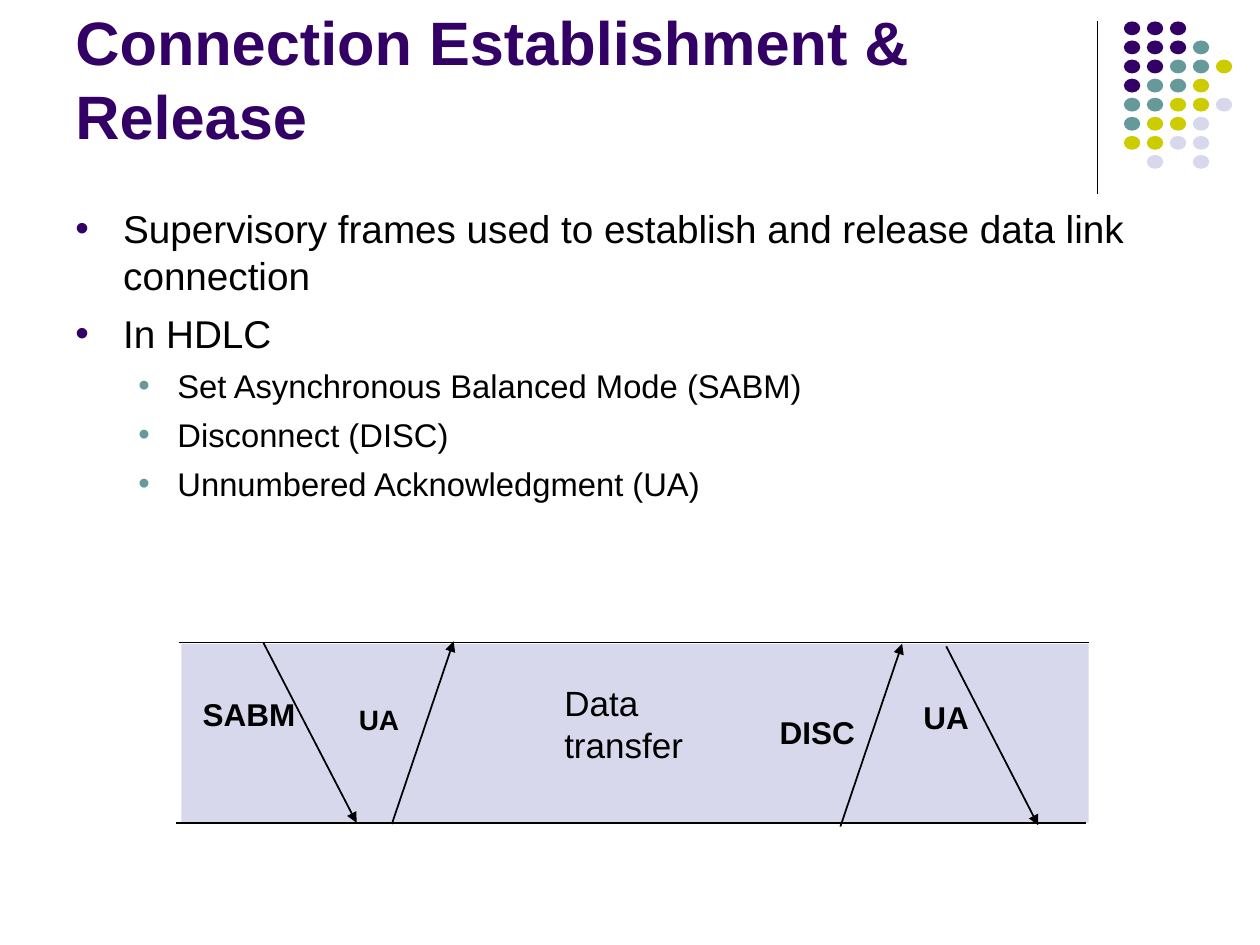
from lxml import etree
from pptx import Presentation
from pptx.dml.color import RGBColor
from pptx.enum.shapes import MSO_CONNECTOR, MSO_SHAPE
from pptx.enum.text import MSO_ANCHOR, MSO_AUTO_SIZE
from pptx.oxml.ns import qn
from pptx.util import Inches, Pt

STRAIGHT = MSO_CONNECTOR.STRAIGHT
OVAL = MSO_SHAPE.OVAL
RECTANGLE = MSO_SHAPE.RECTANGLE
BOTTOM = MSO_ANCHOR.BOTTOM
FIXED_SIZE = MSO_AUTO_SIZE.NONE

BLACK = RGBColor(0x00, 0x00, 0x00)
PURPLE = RGBColor(0x33, 0x00, 0x66)
TEAL = RGBColor(0x66, 0x99, 0x99)
OLIVE = RGBColor(0xCC, 0xCC, 0x00)
LAVENDER = RGBColor(0xD8, 0xD8, 0xEC)

presentation = Presentation()
presentation.slide_width = Inches(10)
presentation.slide_height = Inches(7.5)
slide = presentation.slides.add_slide(presentation.slide_layouts[6])


def add_line(x1, y1, x2, y2, width=1, arrow=False):
    line = slide.shapes.add_connector(
        STRAIGHT, Inches(x1), Inches(y1), Inches(x2), Inches(y2))
    line.line.color.rgb = BLACK
    line.line.width = Pt(width)
    if arrow:
        etree.SubElement(line.line._get_or_add_ln(), qn("a:tailEnd"), type="triangle")
    etree.SubElement(line._element.spPr, qn("a:effectLst"))


def style_paragraph(paragraph, text, size, color=BLACK, bold=False):
    paragraph.text = text
    paragraph.font.name = "Arial"
    paragraph.font.size = Pt(size)
    paragraph.font.bold = bold
    paragraph.font.color.rgb = color


# Corner decoration: one letter per dot, a space for a gap
add_line(8.71, 0.17, 8.71, 1.54, width=0.75)
DOT_COLORS = {"P": PURPLE, "T": TEAL, "O": OLIVE, "L": LAVENDER}
DOT_ROWS = ["PPP", "PPPT", "PPTTO", "PTTO", "TTOOL", "TOOL", "OOLL", " L L"]
COLUMN_STEP = 0.73 / 4
ROW_STEP = 1.06 / 7
for row, letters in enumerate(DOT_ROWS):
    for column, letter in enumerate(letters):
        if letter == " ":
            continue
        dot = slide.shapes.add_shape(
            OVAL, Inches(8.92 + column * COLUMN_STEP), Inches(0.17 + row * ROW_STEP),
            Inches(0.13), Inches(0.11))
        dot.shadow.inherit = False
        dot.fill.solid()
        dot.fill.fore_color.rgb = DOT_COLORS[letter]
        dot.line.fill.background()

# Title
title = slide.shapes.add_textbox(Inches(0.5), Inches(0.13), Inches(8.25), Inches(1.12))
title.text_frame.word_wrap = True
title.text_frame.vertical_anchor = BOTTOM
style_paragraph(title.text_frame.paragraphs[0], "Connection Establishment & Release",
                35, PURPLE, bold=True)

# Bulleted body
# level: (font size, space before, left margin, indent, bullet color)
LEVELS = [(22.1, 6.5, 0.38, -0.38, PURPLE), (18.7, 5.5, 0.81, -0.31, TEAL)]
BULLETS = [
    (0, "Supervisory frames used to establish and release data link connection"),
    (0, "In HDLC"),
    (1, "Set Asynchronous Balanced Mode (SABM)"),
    (1, "Disconnect (DISC)"),
    (1, "Unnumbered Acknowledgment (UA)"),
]
body = slide.shapes.add_textbox(Inches(0.5), Inches(1.58), Inches(9), Inches(2.48))
body.text_frame.word_wrap = True
for index, (level, text) in enumerate(BULLETS):
    size, space_before, margin, indent, bullet_color = LEVELS[level]
    paragraph = body.text_frame.paragraphs[0] if index == 0 else body.text_frame.add_paragraph()
    properties = paragraph._p.get_or_add_pPr()
    properties.set("marL", str(Inches(margin)))
    properties.set("indent", str(Inches(indent)))
    color = etree.SubElement(properties, qn("a:buClr"))
    etree.SubElement(color, qn("a:srgbClr"), val=str(bullet_color))
    etree.SubElement(properties, qn("a:buFont"), typeface="Arial")
    etree.SubElement(properties, qn("a:buChar"), char="•")
    paragraph.level = level
    if index > 0:
        paragraph.space_before = Pt(space_before)
    style_paragraph(paragraph, text, size)

# Frame exchange diagram
band = slide.shapes.add_shape(RECTANGLE, Inches(1.44), Inches(5.11), Inches(7.2), Inches(1.42))
band.shadow.inherit = False
band.fill.solid()
band.fill.fore_color.rgb = LAVENDER
band.line.fill.background()

add_line(1.42, 5.1, 8.64, 5.1)
add_line(1.4, 6.53, 8.62, 6.53)
FRAME_ARROWS = [
    (2.09, 5.1, 2.83, 6.53),
    (7.51, 5.13, 8.24, 6.55),
    (3.11, 6.54, 3.6, 5.09),
    (6.67, 6.56, 7.16, 5.11),
]
for ends in FRAME_ARROWS:
    add_line(*ends, arrow=True)

# Each label box is a little wider than its text, so no word breaks
LABELS = [
    (1.51, 5.47, 1, 0.4, ["SABM"], 18, True),
    (7.23, 5.49, 0.6, 0.4, ["UA"], 18, True),
    (2.75, 5.53, 0.56, 0.36, ["UA"], 16, True),
    (6.09, 5.61, 0.84, 0.4, ["DISC"], 18, True),
    (4.38, 5.36, 1.18, 0.76, ["Data", "transfer"], 20, False),
]
for left, top, width, height, lines, size, bold in LABELS:
    label = slide.shapes.add_textbox(Inches(left), Inches(top), Inches(width), Inches(height))
    label.text_frame.word_wrap = True
    label.text_frame.auto_size = FIXED_SIZE
    for index, text in enumerate(lines):
        paragraph = label.text_frame.paragraphs[0] if index == 0 else label.text_frame.add_paragraph()
        style_paragraph(paragraph, text, size, bold=bold)

presentation.save("out.pptx")
